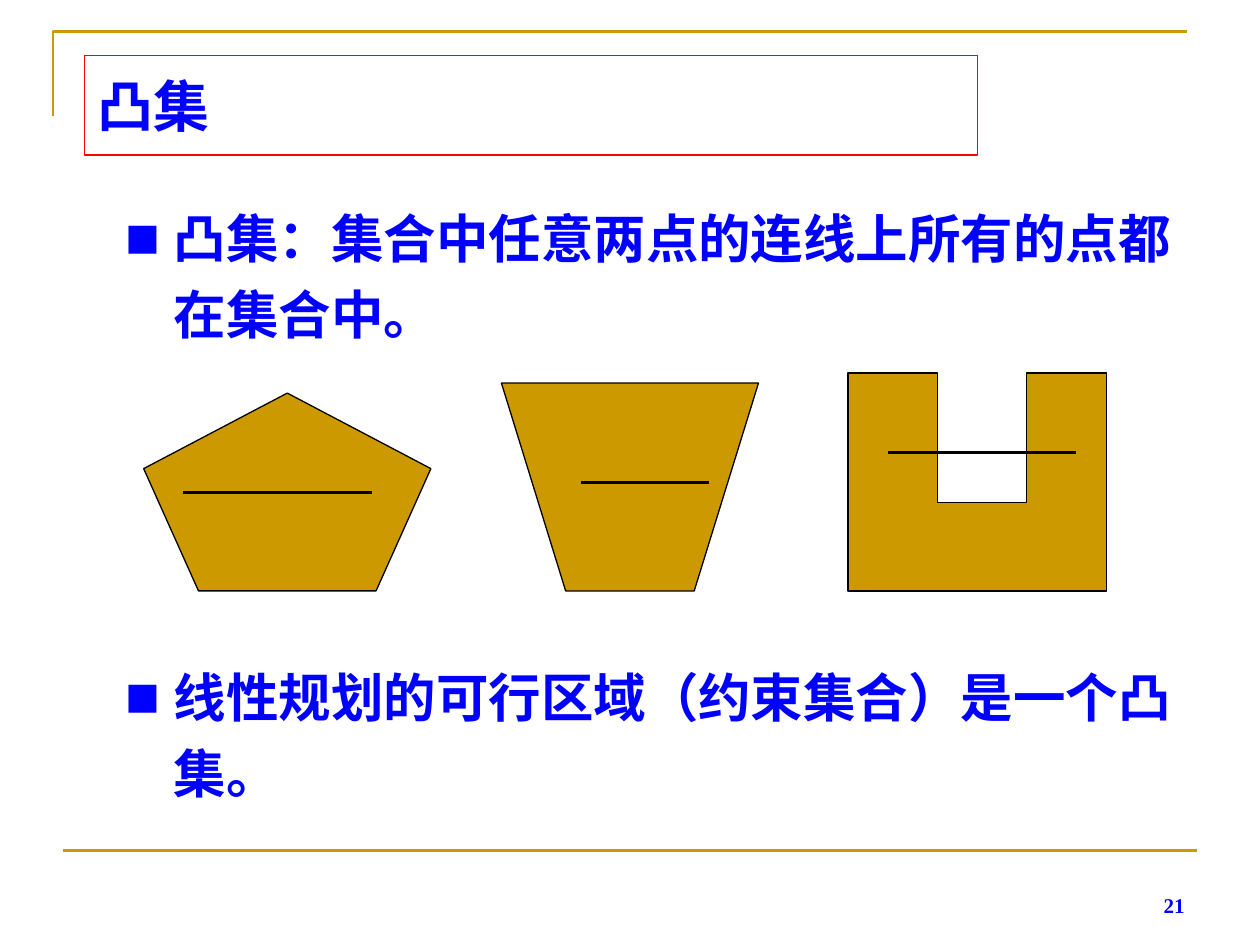
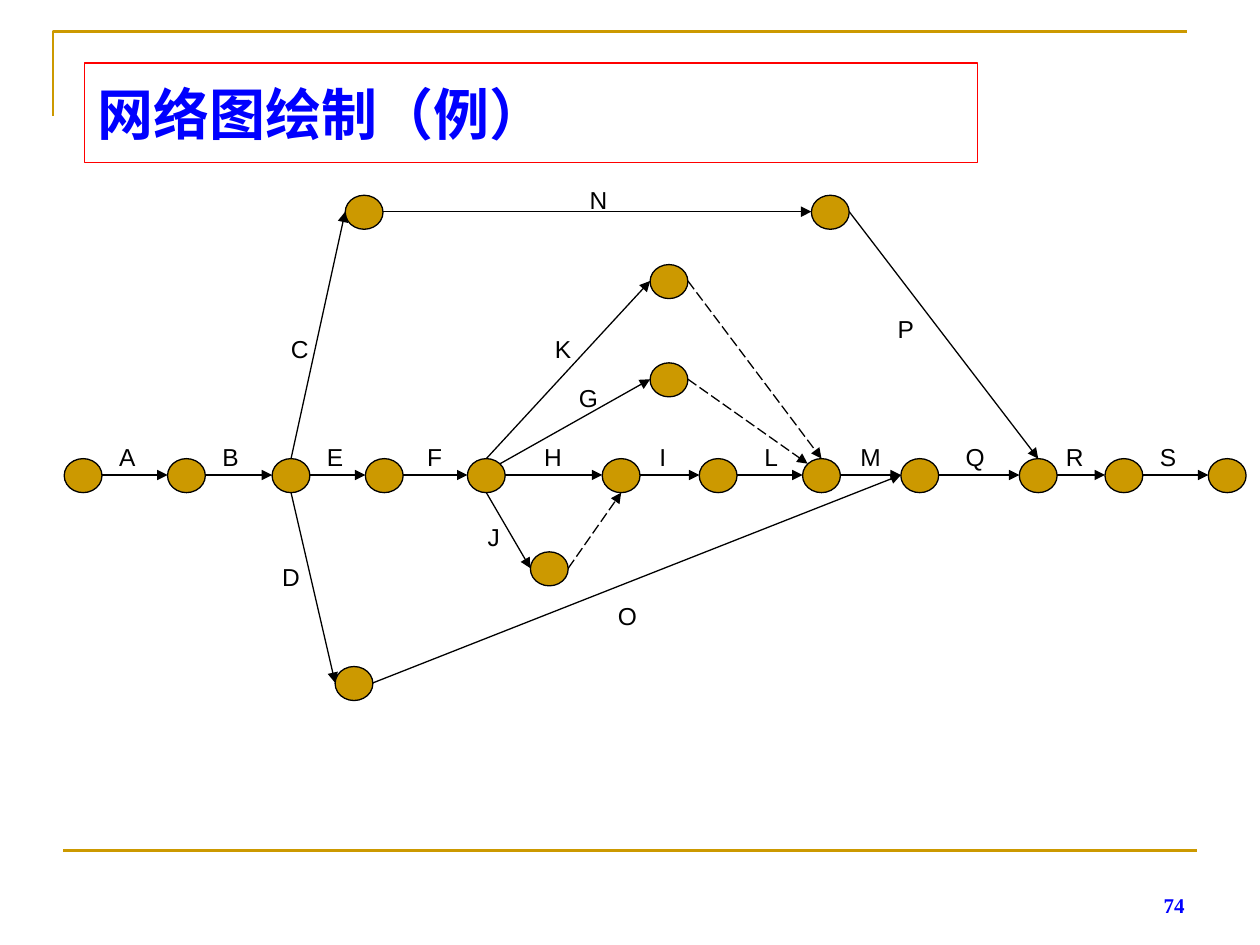
from dataclasses import dataclass
from enum import Enum
from itertools import pairwise

from lxml.etree import SubElement
from pptx import Presentation
from pptx.dml.color import RGBColor
from pptx.enum.dml import MSO_LINE
from pptx.enum.shapes import MSO_CONNECTOR, MSO_SHAPE
from pptx.enum.text import MSO_ANCHOR, MSO_AUTO_SIZE, PP_ALIGN
from pptx.oxml.ns import qn
from pptx.shapes.autoshape import Shape
from pptx.shapes.connector import Connector
from pptx.slide import Slide
from pptx.text.text import TextFrame
from pptx.util import Pt

EMU_PER_PX = 9144  # 100 px to the inch
TITLE_ONLY_LAYOUT = 5


@dataclass(frozen=True)
class Theme:
    gold: RGBColor = RGBColor(0xCC, 0x99, 0x00)
    blue: RGBColor = RGBColor(0x00, 0x00, 0xFF)
    red: RGBColor = RGBColor(0xFF, 0x00, 0x00)
    black: RGBColor = RGBColor(0x00, 0x00, 0x00)
    font: str = "Arial"
    number_font: str = "Times New Roman"
    title_size: int = 32
    body_size: int = 30
    label_size: int = 14
    number_size: int = 12
    thin: float = 0.75
    frame: float = 1.5
    thick: float = 2


THEME = Theme()


@dataclass(frozen=True)
class Point:
    x: int
    y: int


@dataclass(frozen=True)
class Box:
    left: int
    top: int
    width: int
    height: int

    def emu(self) -> tuple[int, int, int, int]:
        return px(self.left), px(self.top), px(self.width), px(self.height)


@dataclass(frozen=True)
class Segment:
    start: Point
    end: Point


class Side(Enum):
    """Where an arrow touches an event circle, from the corner of its box."""
    LEFT = Point(0, 13)
    RIGHT = Point(30, 13)
    TOP = Point(15, 0)
    BOTTOM = Point(15, 27)
    TOP_LEFT = Point(4, 4)
    TOP_RIGHT = Point(26, 4)


@dataclass(frozen=True)
class Activity:
    """An arrow between two events; without a label it is a dashed dummy."""
    start: str
    start_side: Side
    end: str
    end_side: Side
    label: str = ""
    label_at: Point = Point(0, 0)


PENTAGON = Box(114, 312, 228, 157)
TRAPEZOID = [Point(398, 304), Point(449, 469), Point(551, 469), Point(602, 304)]
NOTCHED_SQUARE = [Point(673, 296), Point(673, 469), Point(878, 469), Point(878, 296),
                  Point(815, 296), Point(815, 399), Point(744, 399), Point(744, 296)]
CHORDS = [Segment(Point(145, 391), Point(295, 391)),
          Segment(Point(461, 383), Point(563, 383)),
          Segment(Point(705, 359), Point(854, 359))]

EVENT_WIDTH, EVENT_HEIGHT = 30, 27
MAIN_ROW, MAIN_LABEL_ROW = 364, 351
# Each event is named after the activity that leads to it.
MAIN_EVENTS = {"start": 51, "A": 133, "B": 216, "E": 290, "F": 371, "H": 478,
               "I": 555, "L": 637, "M": 715, "Q": 809, "R": 877, "S": 959}
MAIN_LABELS = {"A": 91, "B": 173, "E": 256, "F": 335, "H": 429, "I": 516,
               "L": 602, "M": 681, "Q": 764, "R": 843, "S": 917}
EVENTS = {name: Point(left, MAIN_ROW) for name, left in MAIN_EVENTS.items()} | {
    "C": Point(274, 155), "N": Point(644, 155), "K": Point(516, 210),
    "G": Point(516, 288), "J": Point(421, 438), "D": Point(266, 529)}
ACTIVITIES = [
    Activity(start, Side.RIGHT, end, Side.LEFT, end, Point(MAIN_LABELS[end], MAIN_LABEL_ROW))
    for start, end in pairwise(MAIN_EVENTS)
] + [
    Activity("B", Side.TOP, "C", Side.LEFT, "C", Point(228, 265)),
    Activity("B", Side.BOTTOM, "D", Side.LEFT, "D", Point(221, 446)),
    Activity("C", Side.RIGHT, "N", Side.LEFT, "N", Point(465, 147)),
    Activity("N", Side.RIGHT, "Q", Side.TOP, "P", Point(709, 249)),
    Activity("D", Side.RIGHT, "M", Side.LEFT, "O", Point(488, 477)),
    Activity("F", Side.TOP, "K", Side.LEFT, "K", Point(437, 265)),
    Activity("F", Side.TOP_RIGHT, "G", Side.LEFT, "G", Point(457, 304)),
    Activity("F", Side.BOTTOM, "J", Side.LEFT, "J", Point(382, 414)),
    Activity("J", Side.RIGHT, "H", Side.BOTTOM),
    Activity("G", Side.RIGHT, "L", Side.TOP_LEFT),
    Activity("K", Side.RIGHT, "L", Side.TOP),
]


def px(length: int) -> int:
    return length * EMU_PER_PX


def set_margins(frame: TextFrame, horizontal: int, vertical: int) -> None:
    frame.margin_left = frame.margin_right = px(horizontal)
    frame.margin_top = frame.margin_bottom = px(vertical)


def write(frame: TextFrame, text: str, size: int, color: RGBColor, bold: bool = True,
          font: str = THEME.font, align: PP_ALIGN = PP_ALIGN.LEFT) -> None:
    paragraph = frame.paragraphs[0]
    paragraph.alignment = align
    paragraph.space_before = Pt(0)
    run = paragraph.add_run()
    run.text = text
    run.font.name = font
    run.font.size = Pt(size)
    run.font.bold = bold
    run.font.color.rgb = color


def add_text(slide: Slide, box: Box) -> TextFrame:
    frame = slide.shapes.add_textbox(*box.emu()).text_frame
    frame.word_wrap = True
    set_margins(frame, 10, 5)
    return frame


def add_line(slide: Slide, segment: Segment, color: RGBColor, width: float) -> Connector:
    start, end = segment.start, segment.end
    connector = slide.shapes.add_connector(
        MSO_CONNECTOR.STRAIGHT, px(start.x), px(start.y), px(end.x), px(end.y))
    connector.line.color.rgb = color
    connector.line.width = Pt(width)
    SubElement(connector.element.spPr, qn("a:effectLst"))
    return connector


def style_gold(shape: Shape) -> None:
    shape.shadow.inherit = False
    shape.fill.solid()
    shape.fill.fore_color.rgb = THEME.gold
    shape.line.color.rgb = THEME.black
    shape.line.width = Pt(THEME.thin)


def add_outline(slide: Slide, points: list[Point], close: bool) -> Shape:
    first, *rest = points
    builder = slide.shapes.build_freeform(first.x, first.y, scale=EMU_PER_PX)
    builder.add_line_segments([(point.x, point.y) for point in rest], close=close)
    return builder.convert_to_shape()


def add_frame(slide: Slide) -> None:
    """Draw the gold corner at the top and the gold rule at the foot."""
    corner = add_outline(slide, [Point(42, 92), Point(42, 25), Point(942, 25)], close=False)
    corner.shadow.inherit = False
    corner.fill.background()
    corner.line.color.rgb = THEME.gold
    corner.line.width = Pt(THEME.frame)
    add_line(slide, Segment(Point(50, 675), Point(950, 675)), THEME.gold, THEME.frame)


def set_title(slide: Slide, text: str, top: int) -> None:
    title = slide.shapes.title
    title.left, title.top, title.width, title.height = Box(67, top, 709, 79).emu()
    title.line.color.rgb = THEME.red
    title.line.width = Pt(THEME.thin)
    frame = title.text_frame
    frame.auto_size = MSO_AUTO_SIZE.NONE
    frame.word_wrap = True
    frame.vertical_anchor = MSO_ANCHOR.MIDDLE
    set_margins(frame, 10, 5)
    write(frame, text, THEME.title_size, THEME.blue)


def add_page_number(slide: Slide, number: int) -> None:
    frame = add_text(slide, Box(717, 683, 233, 50))
    frame.vertical_anchor = MSO_ANCHOR.BOTTOM
    write(frame, str(number), THEME.number_size, THEME.blue,
          font=THEME.number_font, align=PP_ALIGN.RIGHT)


def add_framed_slide(presentation: Presentation, title: str, title_top: int,
                     number: int) -> Slide:
    slide = presentation.slides.add_slide(presentation.slide_layouts[TITLE_ONLY_LAYOUT])
    add_frame(slide)
    set_title(slide, title, title_top)
    add_page_number(slide, number)
    return slide


def add_bullet(slide: Slide, text: str, top: int) -> None:
    frame = add_text(slide, Box(90, top, 851, 130))
    paragraph = frame.paragraphs[0]
    properties = paragraph._p.get_or_add_pPr()
    properties.set("marL", str(px(38)))
    properties.set("indent", str(px(-38)))
    color = SubElement(properties, qn("a:buClr"))
    SubElement(color, qn("a:srgbClr"), val=str(THEME.blue))
    SubElement(properties, qn("a:buSzPct"), val="110000")
    SubElement(properties, qn("a:buFont"), typeface=THEME.font)
    SubElement(properties, qn("a:buChar"), char="■")
    paragraph.line_spacing = 1.2
    write(frame, text, THEME.body_size, THEME.blue)


def add_event(slide: Slide, corner: Point) -> None:
    box = Box(corner.x, corner.y, EVENT_WIDTH, EVENT_HEIGHT)
    style_gold(slide.shapes.add_shape(MSO_SHAPE.OVAL, *box.emu()))


def touch_point(event: str, side: Side) -> Point:
    corner = EVENTS[event]
    return Point(corner.x + side.value.x, corner.y + side.value.y)


def add_activity(slide: Slide, activity: Activity) -> None:
    segment = Segment(touch_point(activity.start, activity.start_side),
                      touch_point(activity.end, activity.end_side))
    arrow = add_line(slide, segment, THEME.black, THEME.thin)
    if not activity.label:
        arrow.line.dash_style = MSO_LINE.LONG_DASH
    SubElement(arrow.element.spPr.find(qn("a:ln")), qn("a:tailEnd"), type="triangle")
    if activity.label:
        frame = add_text(slide, Box(activity.label_at.x, activity.label_at.y, 20, 23))
        set_margins(frame, 0, 0)
        write(frame, activity.label, THEME.label_size, THEME.black,
              bold=False, align=PP_ALIGN.CENTER)


def build_convex_sets(presentation: Presentation) -> None:
    slide = add_framed_slide(presentation, "凸集", 44, 21)
    add_bullet(slide, "凸集：集合中任意两点的连线上所有的点都在集合中。", 149)
    style_gold(slide.shapes.add_shape(MSO_SHAPE.REGULAR_PENTAGON, *PENTAGON.emu()))
    for points in (TRAPEZOID, NOTCHED_SQUARE):
        style_gold(add_outline(slide, points, close=True))
    for chord in CHORDS:
        add_line(slide, chord, THEME.black, THEME.thick)
    add_bullet(slide, "线性规划的可行区域（约束集合）是一个凸集。", 513)


def build_network(presentation: Presentation) -> None:
    slide = add_framed_slide(presentation, "网络图绘制（例）", 50, 74)
    for corner in EVENTS.values():
        add_event(slide, corner)
    for activity in ACTIVITIES:
        add_activity(slide, activity)


def main() -> None:
    presentation = Presentation()
    presentation.slide_width = px(1000)
    presentation.slide_height = px(750)
    build_convex_sets(presentation)
    build_network(presentation)
    presentation.save("out.pptx")


if __name__ == "__main__":
    main()
